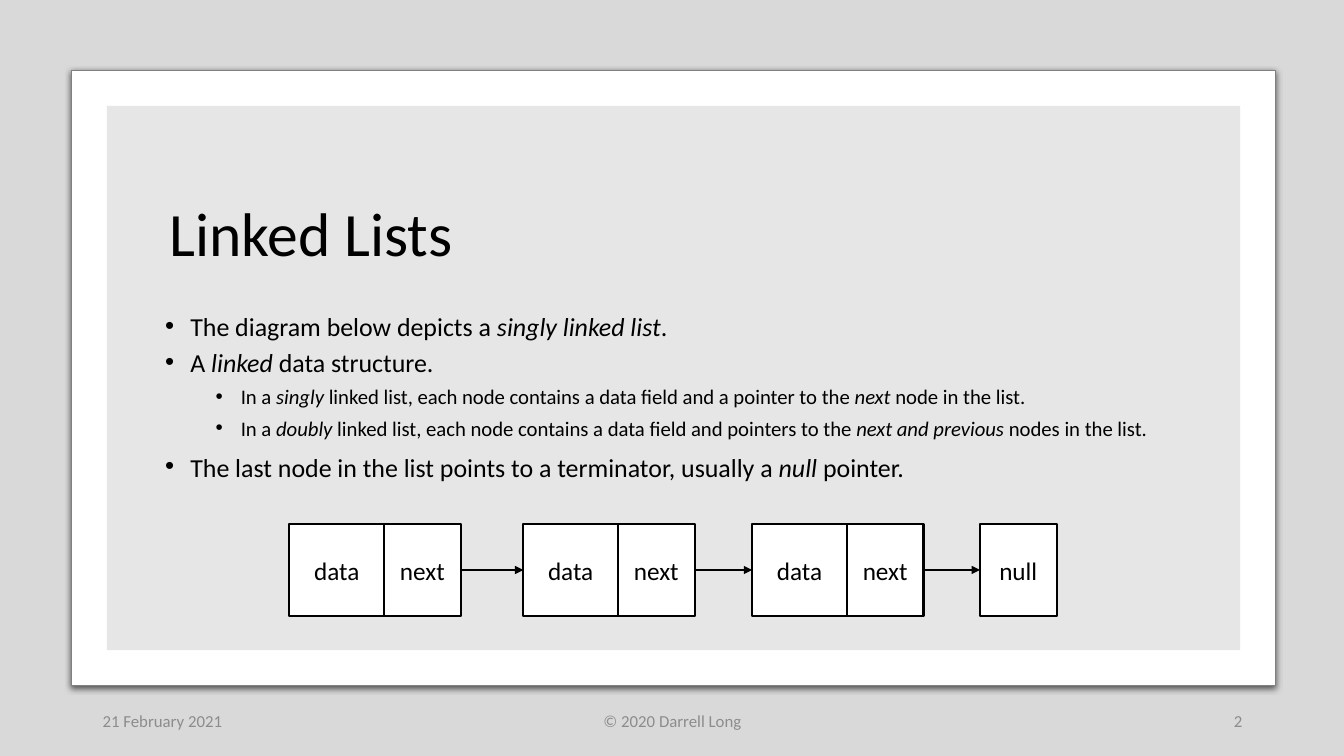
from lxml.etree import SubElement
from pptx import Presentation
from pptx.dml.color import RGBColor
from pptx.enum.shapes import MSO_CONNECTOR, MSO_SHAPE
from pptx.enum.text import MSO_ANCHOR, PP_ALIGN
from pptx.oxml.ns import qn
from pptx.util import Inches, Pt

FONT = "Calibri"
BLACK, WHITE, GREY = "000000", "FFFFFF", "8C8C8C"

# Each bullet: level, space before, runs; every second run is italic
BULLETS = [
    (0, 0, ["The diagram below depicts a ", "singly linked list", "."]),
    (0, 10, ["A ", "linked ", "data structure."]),
    (1, 10, ["In a ", "singly", " linked list, each node contains a data field "
             "and a pointer to the ", "next", " node in the list."]),
    (1, 10, ["In a ", "doubly ", "linked list, each node contains a data field "
             "and pointers to the ", "next and previous ", "nodes in the list."]),
    (0, 14.2, ["The last node in the list points to a terminator, usually a ",
               "null", " pointer."]),
]
BULLET_SIZES = [18.5, 14.8]

# Node diagram
NODE_LEFTS = [2.87, 5.19, 7.46]
NULL_LEFT = 9.72
NODE_TOP, NODE_HEIGHT = 5.2, 0.91
DATA_WIDTH, NEXT_WIDTH = 0.94, 0.76


def rgb(value):
    return RGBColor.from_string(value)


def add_run(paragraph, text, size, color=BLACK, italic=False):
    run = paragraph.add_run()
    run.text = text
    font = run.font
    font.name, font.size, font.italic = FONT, Pt(size), italic
    font.color.rgb = rgb(color)


def add_box(slide, left, top, width, height, fill, line=None, weight=1.5,
            kind=MSO_SHAPE.RECTANGLE):
    box = slide.shapes.add_shape(kind, Inches(left), Inches(top),
                                 Inches(width), Inches(height))
    box.shadow.inherit = False
    box.fill.solid()
    box.fill.fore_color.rgb = rgb(fill)
    if line:
        box.line.color.rgb = rgb(line)
        box.line.width = Pt(weight)
    else:
        box.line.fill.background()
    return box


def add_text_frame(slide, left, top, width, height, anchor=MSO_ANCHOR.MIDDLE):
    frame = slide.shapes.add_textbox(Inches(left), Inches(top), Inches(width),
                                     Inches(height)).text_frame
    frame.word_wrap = True
    frame.vertical_anchor = anchor
    return frame


def set_alpha(color_element, percent):
    SubElement(color_element, qn("a:alpha"), val=str(percent * 1000))


def add_shadow(box):
    effects = box._element.spPr.find(qn("a:effectLst"))
    shadow = SubElement(effects, qn("a:outerShdw"), blurRad=str(Pt(4.5)),
                        dist=str(Pt(1.5)), dir="5400000", rotWithShape="0")
    set_alpha(SubElement(shadow, qn("a:srgbClr"), val=BLACK), 63)


def add_bullet(paragraph, level):
    properties = paragraph._p.get_or_add_pPr()
    properties.set("marL", str(Inches(0.38 + 0.5 * level)))
    properties.set("indent", str(Inches(-0.25)))
    color = SubElement(properties, qn("a:buClr"))
    SubElement(color, qn("a:srgbClr"), val=BLACK)
    SubElement(properties, qn("a:buFont"), typeface="Arial")
    SubElement(properties, qn("a:buChar"), char="•")


def add_bullets(slide):
    frame = add_text_frame(slide, 1.41, 3.12, 10.54, 1.83, MSO_ANCHOR.TOP)
    for index, (level, before, runs) in enumerate(BULLETS):
        paragraph = frame.add_paragraph() if index else frame.paragraphs[0]
        add_bullet(paragraph, level)
        paragraph.level = level
        paragraph.line_spacing = 0.7
        paragraph.space_before = Pt(before)
        for position, text in enumerate(runs):
            add_run(paragraph, text, BULLET_SIZES[level],
                    italic=position % 2 == 1)


def add_footer(slide, left, width, text, align):
    paragraph = add_text_frame(slide, left, 6.95, width, 0.4).paragraphs[0]
    paragraph.alignment = align
    paragraph.space_after = Pt(6)
    add_run(paragraph, text, 12, GREY)


def add_field(slide, left, width, label):
    field = add_box(slide, left, NODE_TOP, width, NODE_HEIGHT, WHITE, BLACK)
    frame = field.text_frame
    frame.vertical_anchor = MSO_ANCHOR.MIDDLE
    paragraph = frame.paragraphs[0]
    paragraph.alignment = PP_ALIGN.CENTER
    add_run(paragraph, label, 18)
    return field


def add_pointer(slide, source, target):
    pointer = slide.shapes.add_connector(MSO_CONNECTOR.STRAIGHT, 0, 0, 0, 0)
    pointer.begin_connect(source, 3)
    pointer.end_connect(target, 1)
    pointer.line.color.rgb = rgb(BLACK)
    pointer.line.width = Pt(1)
    SubElement(pointer.line._get_or_add_ln(), qn("a:tailEnd"), type="triangle")
    SubElement(pointer._element.spPr, qn("a:effectLst"))


def add_linked_list(slide):
    nodes = [(add_field(slide, left, DATA_WIDTH, "data"),
              add_field(slide, left + DATA_WIDTH, NEXT_WIDTH, "next"))
             for left in NODE_LEFTS]
    terminator = add_field(slide, NULL_LEFT, NEXT_WIDTH, "null")
    targets = [data for data, _ in nodes[1:]] + [terminator]
    for (_, source), target in zip(nodes, targets):
        add_pointer(slide, source, target)


def main():
    prs = Presentation()
    prs.slide_width, prs.slide_height = Inches(13.33), Inches(7.5)
    slide = prs.slides.add_slide(prs.slide_layouts[6])

    # Backdrop, framed card and inner panel
    backdrop = add_box(slide, 0, 0, 13.33, 7.5, BLACK)
    set_alpha(backdrop._element.spPr.find(
        qn("a:solidFill") + "/" + qn("a:srgbClr")), 15)
    card = add_box(slide, 0.71, 0.7, 11.94, 6.1, WHITE, "808080", 0.75,
                   MSO_SHAPE.ROUNDED_RECTANGLE)
    card.adjustments[0] = 0
    add_shadow(card)
    add_box(slide, 1.06, 1.05, 11.24, 5.4, "E7E6E6")

    # Title and bullets
    title = add_text_frame(slide, 1.58, 1.57, 10.54, 1.56).paragraphs[0]
    title.line_spacing = 0.9
    add_run(title, "Linked Lists", 44)
    add_bullets(slide)

    # Footer
    add_footer(slide, 0.92, 3, "21 February 2021", PP_ALIGN.LEFT)
    add_footer(slide, 4.42, 4.5, "© 2020 Darrell Long", PP_ALIGN.CENTER)
    add_footer(slide, 9.42, 3, "2", PP_ALIGN.RIGHT)

    # Diagram
    add_linked_list(slide)
    prs.save("out.pptx")


if __name__ == "__main__":
    main()
